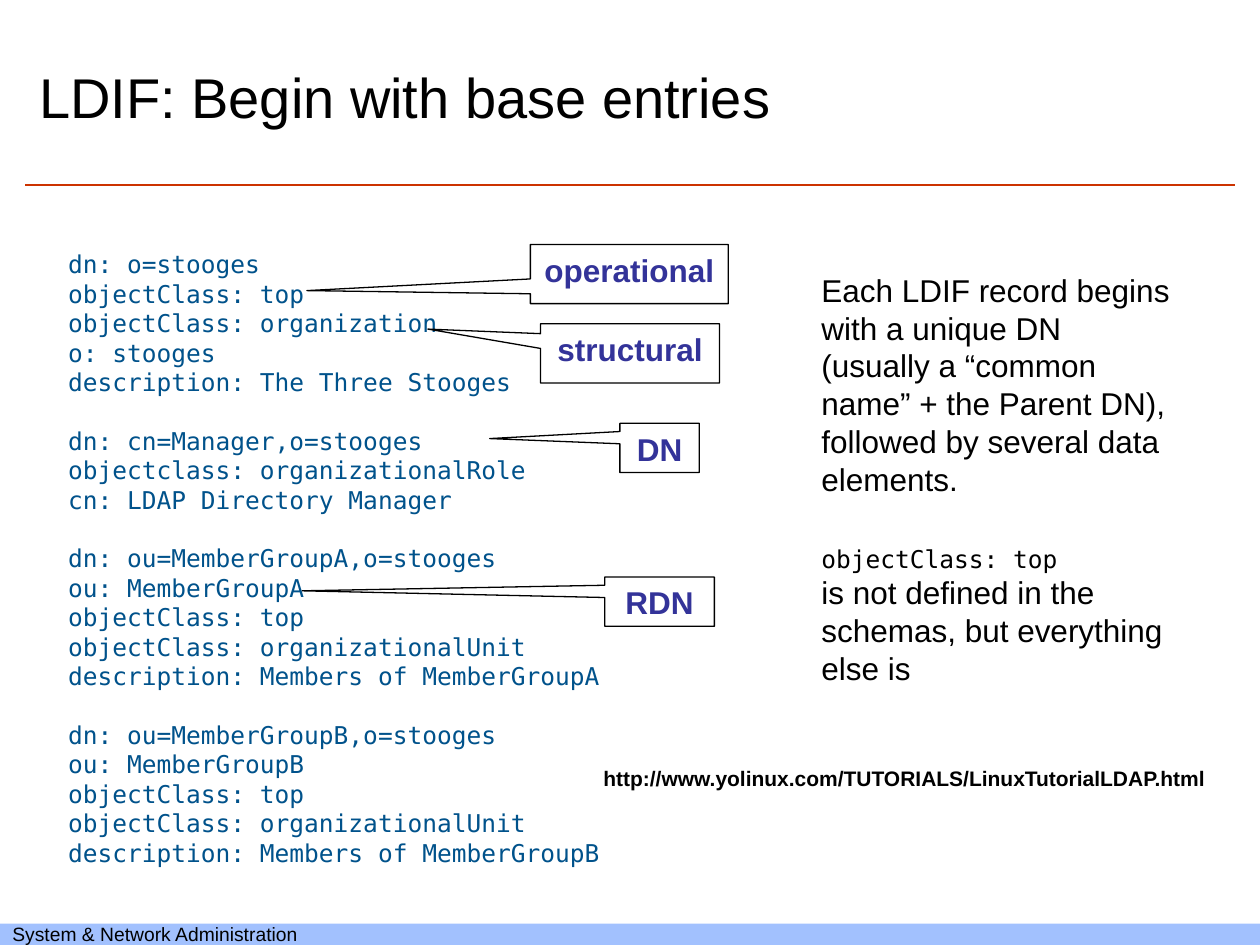
from lxml.etree import SubElement
from pptx import Presentation
from pptx.dml.color import RGBColor
from pptx.enum.shapes import MSO_CONNECTOR as Connector, MSO_SHAPE as Shape
from pptx.enum.text import MSO_ANCHOR as Anchor, MSO_AUTO_SIZE as AutoSize, PP_ALIGN as Align
from pptx.oxml.ns import qn
from pptx.util import Inches, Pt

BLACK = RGBColor(0x00, 0x00, 0x00)
RED = RGBColor(0xCC, 0x33, 0x00)
PALE_BLUE = RGBColor(0xA2, 0xC1, 0xFE)
CODE_BLUE = RGBColor(0x00, 0x52, 0x8B)
INDIGO = RGBColor(0x33, 0x33, 0x99)
SANS, MONO = "Arial", "DejaVu Sans Mono"

RECORDS = [
    ["dn: o=stooges", "objectClass: top", "objectClass: organization",
     "o: stooges", "description: The Three Stooges"],
    ["dn: cn=Manager,o=stooges", "objectclass: organizationalRole",
     "cn: LDAP Directory Manager"],
    ["dn: ou=MemberGroupA,o=stooges", "ou: MemberGroupA", "objectClass: top",
     "objectClass: organizationalUnit", "description: Members of MemberGroupA"],
    ["dn: ou=MemberGroupB,o=stooges", "ou: MemberGroupB", "objectClass: top",
     "objectClass: organizationalUnit", "description: Members of MemberGroupB"],
]
CALLOUTS = [
    ("operational", (4.21, 1.94, 1.57, 0.47), (-1.63, 0.28)),
    ("structural", (4.29, 2.57, 1.42, 0.47), (-1.13, -0.41)),
    ("DN", (4.92, 3.36, 0.63, 0.39), (-2.14, -0.19)),
    ("RDN", (4.8, 4.58, 0.87, 0.39), (-3.26, -0.22)),
]


def to_inches(box):
    """Turn a box of numbers into lengths."""
    return [Inches(value) for value in box]


def write(frame, text, first=True, size=18, font=SANS, color=BLACK, bold=False,
          align=Align.LEFT, before=0, leading=None):
    """Write one formatted paragraph into a text frame."""
    para = frame.paragraphs[0] if first else frame.add_paragraph()
    para.alignment = align
    para.space_before = Pt(before)
    if leading:
        para.line_spacing = Pt(leading)
    span = para.add_run()
    span.text = text
    span.font.size = Pt(size)
    span.font.name = font
    span.font.bold = bold
    span.font.color.rgb = color


def add_text_frame(page, box, wrap=True):
    """Add a text box and return its frame."""
    frame = page.shapes.add_textbox(*to_inches(box)).text_frame
    frame.word_wrap = wrap
    return frame


def add_title(page, box, text):
    """Move and fill the title placeholder and rule a line below it."""
    title = page.shapes.title
    title.left, title.top, title.width, title.height = to_inches(box)
    frame = title.text_frame
    frame.auto_size = AutoSize.NONE
    frame.vertical_anchor = Anchor.MIDDLE
    write(frame, text, size=32)
    rule = page.shapes.add_connector(
        Connector.STRAIGHT, *to_inches((0.2, 1.47, 9.8, 1.47)))
    rule.line.color.rgb = RED
    rule.line.width = Pt(1.5)
    SubElement(rule._element.spPr, qn("a:effectLst"))


def add_footer(page, box, text):
    """Add the coloured strip with the course name."""
    strip = page.shapes.add_shape(Shape.RECTANGLE, *to_inches(box))
    strip.shadow.inherit = False
    strip.fill.solid()
    strip.fill.fore_color.rgb = PALE_BLUE
    strip.line.fill.background()
    strip.text_frame.word_wrap = False
    strip.text_frame.vertical_anchor = Anchor.MIDDLE
    write(strip.text_frame, text, size=11)


def add_records(page, box, records):
    """List the LDIF records with a line of space between them."""
    frame = add_text_frame(page, box)
    frame.margin_left = Inches(0.2)
    leading = 16.8
    for record_index, record in enumerate(records):
        for line_index, line in enumerate(record):
            first = record_index == line_index == 0
            gap = leading if line_index == 0 and not first else 0
            write(frame, line, first=first, size=14, font=MONO, color=CODE_BLUE,
                  before=gap, leading=leading)


def add_callout(page, box, text, tip):
    """Add a labelled callout whose tip is relative to its size."""
    callout = page.shapes.add_shape(Shape.RECTANGULAR_CALLOUT, *to_inches(box))
    callout.shadow.inherit = False
    callout.adjustments[0], callout.adjustments[1] = tip
    callout.fill.background()
    callout.line.color.rgb = BLACK
    callout.line.width = Pt(0.75)
    callout.text_frame.vertical_anchor = Anchor.TOP
    callout.text_frame.word_wrap = False
    write(callout.text_frame, text, color=INDIGO, bold=True, align=Align.CENTER,
          leading=21.6)


def add_explanation(page, box):
    """Add the notes on how a record is built."""
    frame = add_text_frame(page, box)
    leading = 21.6
    write(frame, "Each LDIF record begins with a unique DN (usually a “common name” "
          "+ the Parent DN), followed by several data elements.", leading=leading)
    write(frame, "objectClass: top", first=False, size=14, font=MONO,
          before=leading, leading=leading)
    write(frame, "is not defined in the schemas, but everything else is",
          first=False, leading=leading)


def add_reference(page, box, address):
    """Add the web address of the tutorial."""
    write(add_text_frame(page, box, wrap=False), address, size=12, bold=True)


def main():
    """Build and save the deck."""
    deck = Presentation()
    deck.slide_width, deck.slide_height = Inches(10), Inches(7.5)
    page = deck.slides.add_slide(deck.slide_layouts[5])
    add_title(page, (0.21, 0.2, 7.19, 1.12), "LDIF: Begin with base entries")
    add_footer(page, (0, 7.33, 10, 0.17), "System & Network Administration")
    add_records(page, (0.34, 1.93, 4.9, 5.06), RECORDS)
    add_reference(page, (4.69, 6.03, 5.04, 0.3),
                  "http://www.yolinux.com/TUTORIALS/LinuxTutorialLDAP.html")
    for text, box, tip in CALLOUTS:
        add_callout(page, box, text, tip)
    add_explanation(page, (6.42, 2.1, 2.99, 3.7))
    deck.save("out.pptx")


if __name__ == "__main__":
    main()
